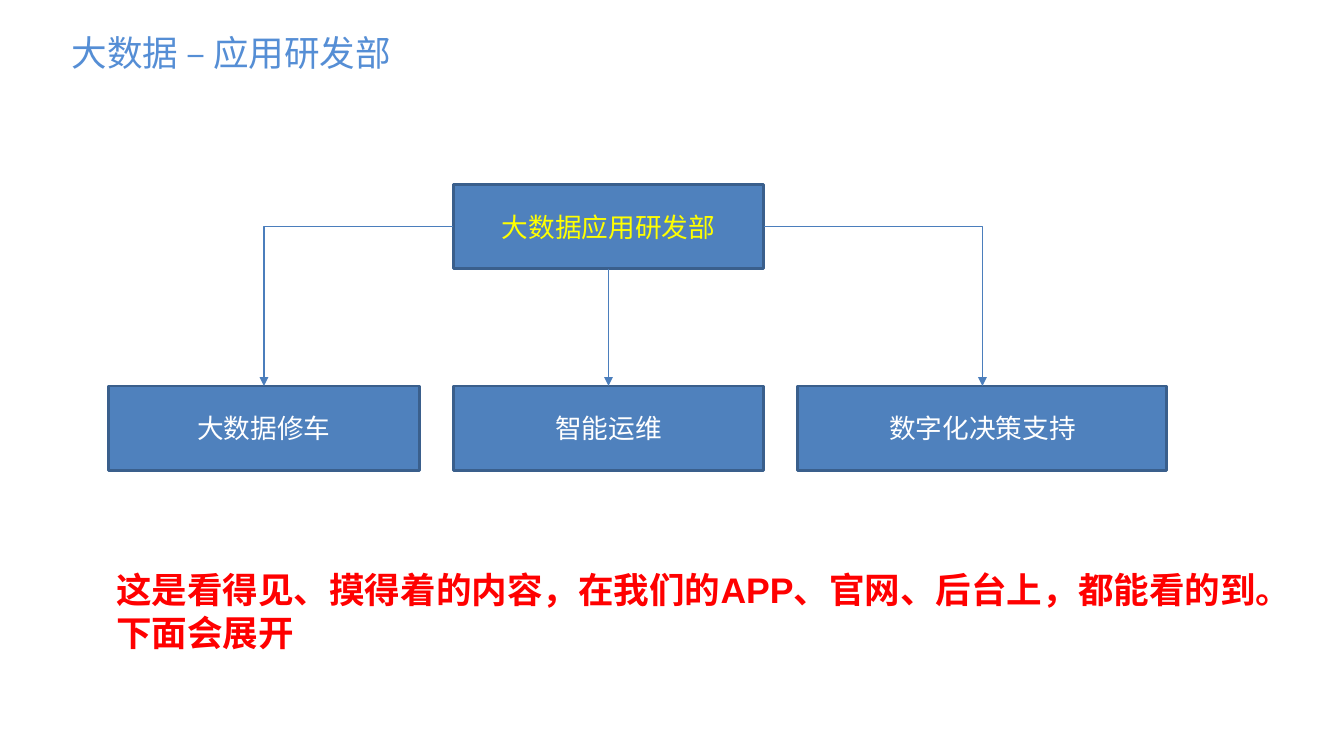
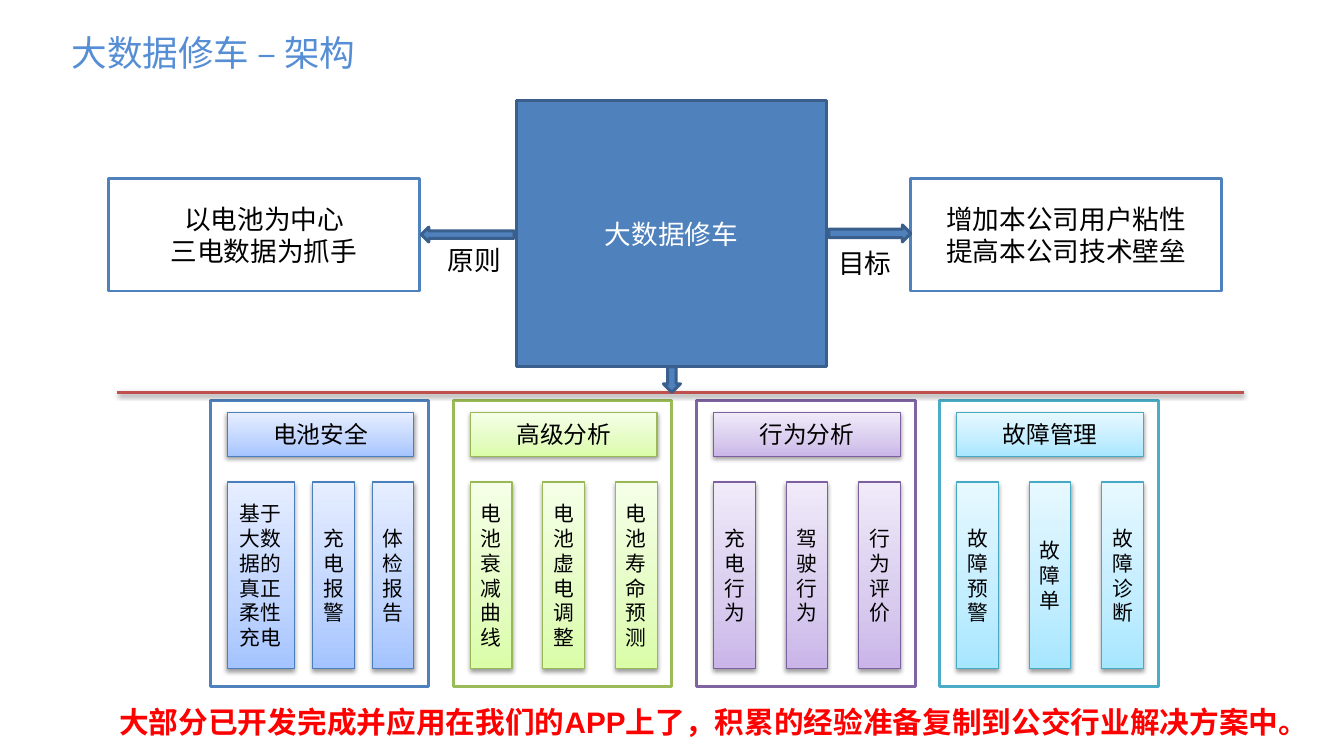
from dataclasses import dataclass

import lxml.etree
import pptx
import pptx.dml.color
import pptx.enum.shapes
import pptx.enum.text
import pptx.oxml.ns
import pptx.util

Inches = pptx.util.Inches
Pt = pptx.util.Pt
qn = pptx.oxml.ns.qn
PRESET = pptx.enum.shapes.MSO_SHAPE
CONNECTOR = pptx.enum.shapes.MSO_CONNECTOR
ALIGN = pptx.enum.text.PP_ALIGN
ANCHOR = pptx.enum.text.MSO_ANCHOR
AUTO_SIZE = pptx.enum.text.MSO_AUTO_SIZE

TITLE_BLUE = "558ED5"
BLUE = "4F81BD"
DARK_BLUE = "3A5F8C"
LINE_BLUE = "4B7EBC"
DIVIDER_RED = "C0504D"
RED = "FF0000"
YELLOW = "FFFF00"
WHITE = "FFFFFF"
BLACK = "000000"

TITLE_FONT = "Noto Sans CJK SC"
BOX_FONT = "Calibri"
NOTE_FONT = "Arial"


@dataclass(frozen=True)
class Area:
    left: float
    top: float
    width: float
    height: float

    def emu(self) -> tuple:
        return tuple(Inches(n) for n in (self.left, self.top, self.width, self.height))


@dataclass(frozen=True)
class Style:
    """Box look; three colours in fill make a gradient from bottom to top."""
    fill: tuple
    line: str
    weight: float = 2
    shadow: bool = False


@dataclass(frozen=True)
class Module:
    name: str
    features: tuple
    widths: tuple
    frame: str
    edge: str
    gradient: tuple


SOLID = Style((BLUE,), DARK_BLUE)
OUTLINED = Style((WHITE,), BLUE)

NARROW = 0.39
MODULES = (
    Module("电池安全", ("基于大数据的\n真正柔性充电", "充电报警", "体检报告"),
           (0.63, NARROW, NARROW), BLUE, LINE_BLUE, ("A4C4FF", "BFD4FF", "E6EEFF")),
    Module("高级分析", ("电池衰减曲线", "电池虚电调整", "电池寿命预测"),
           (NARROW,) * 3, "9BBB59", "98B955", ("DAFDA7", "E4FCC2", "F5FFE7")),
    Module("行为分析", ("充电行为", "驾驶行为", "行为评价"),
           (NARROW,) * 3, "8064A2", "7D60A0", ("C9B5E8", "D8CBEE", "F0EAF9")),
    Module("故障管理", ("故障预警", "故障单", "故障诊断"),
           (NARROW,) * 3, "4BACC6", "46AAC5", ("A7E6FF", "C1EDFF", "E7F8FF")),
)


def rgb(color: str):
    return pptx.dml.color.RGBColor.from_string(color)


def sub(parent, tag: str, **attributes: str):
    child = lxml.etree.SubElement(parent, qn(tag))
    for key, setting in attributes.items():
        child.set(key, setting)
    return child


def write(frame, text: str, size: float, font: str, color: str,
          align=ALIGN.LEFT, bold: bool = False) -> None:
    frame.text = text
    for paragraph in frame.paragraphs:
        paragraph.alignment = align
        paragraph.font.size = Pt(size)
        paragraph.font.name = font
        paragraph.font.bold = bold
        paragraph.font.color.rgb = rgb(color)


def add_soft_shadow(effects) -> None:
    shadow = sub(effects, "a:outerShdw", blurRad="40000", dist="20000",
                 dir="5400000", rotWithShape="0")
    sub(sub(shadow, "a:srgbClr", val=BLACK), "a:alpha", val="38000")


def paint_gradient(shape, colors: tuple) -> None:
    solid = shape._element.spPr.find(qn("a:solidFill"))
    gradient = lxml.etree.Element(qn("a:gradFill"))
    stops = sub(gradient, "a:gsLst")
    for position, color in zip(("0", "35000", "100000"), colors):
        sub(sub(stops, "a:gs", pos=position), "a:srgbClr", val=color)
    sub(gradient, "a:lin", ang="16200000", scaled="0")
    solid.getparent().replace(solid, gradient)


def add_box(slide, area: Area, style: Style, text: str = "", size: float = 18,
            color: str = WHITE, preset=PRESET.RECTANGLE):
    box = slide.shapes.add_shape(preset, *area.emu())
    box.shadow.inherit = False
    box.fill.solid()
    box.fill.fore_color.rgb = rgb(style.fill[0])
    if len(style.fill) > 1:
        paint_gradient(box, style.fill)
    box.line.color.rgb = rgb(style.line)
    box.line.width = Pt(style.weight)
    if style.shadow:
        add_soft_shadow(box._element.spPr.find(qn("a:effectLst")))
    if text:
        box.text_frame.word_wrap = True
        box.text_frame.vertical_anchor = ANCHOR.MIDDLE
        write(box.text_frame, text, size, BOX_FONT, color, ALIGN.CENTER)
    return box


def add_label(slide, area: Area, text: str, size: float, color: str,
              bold: bool = False, wrap: bool = False) -> None:
    frame = slide.shapes.add_textbox(*area.emu()).text_frame
    frame.word_wrap = wrap
    frame.auto_size = AUTO_SIZE.SHAPE_TO_FIT_TEXT
    write(frame, text, size, NOTE_FONT, color, bold=bold)


def add_line(slide, kind, start: tuple, end: tuple, color: str, weight: float):
    """Draw a connector; return it with its empty effect list."""
    points = [Inches(n) for n in (*start, *end)]
    line = slide.shapes.add_connector(kind, *points)
    line.line.color.rgb = rgb(color)
    line.line.width = Pt(weight)
    return line, sub(line._element.spPr, "a:effectLst")


def link_boxes(slide, parent, side: int, child) -> None:
    """Run an arrow from a side of parent to the top of child."""
    straight = side == 2
    kind = CONNECTOR.STRAIGHT if straight else CONNECTOR.ELBOW
    link, _ = add_line(slide, kind, (0, 0), (1, 1), LINE_BLUE, 0.75)
    link.begin_connect(parent, side)
    link.end_connect(child, 0)
    if not straight:
        link._element.spPr.find(qn("a:prstGeom")).set("prst", "bentConnector2")
    sub(link.line._get_or_add_ln(), "a:tailEnd", type="triangle")


def add_titled_slide(deck, title: str, width: float):
    slide = deck.slides.add_slide(deck.slide_layouts[5])
    heading = slide.shapes.title
    heading.left, heading.top, heading.width, heading.height = Area(0.57, 0.24, width, 0.5).emu()
    frame = heading.text_frame
    frame.word_wrap = False
    frame.auto_size = AUTO_SIZE.SHAPE_TO_FIT_TEXT
    frame.vertical_anchor = ANCHOR.TOP
    write(frame, title, 24, TITLE_FONT, TITLE_BLUE)
    return slide


def build_department(deck) -> None:
    slide = add_titled_slide(deck, "大数据 – 应用研发部", 3.57)
    department = add_box(slide, Area(4.25, 1.73, 2.91, 0.79), SOLID,
                         "大数据应用研发部", color=YELLOW)
    teams = (("大数据修车", 1.02, 2.91, 1), ("智能运维", 4.25, 2.91, 2),
             ("数字化决策支持", 7.48, 3.46, 3))
    for name, left, width, side in teams:
        team = add_box(slide, Area(left, 3.62, width, 0.79), SOLID, name)
        link_boxes(slide, department, side, team)
    add_label(slide, Area(0.99, 5.28, 11.34, 0.91),
              "这是看得见、摸得着的内容，在我们的APP、官网、后台上，都能看的到。下面会展开",
              24, RED, bold=True, wrap=True)


def add_module(slide, module: Module, left: float) -> None:
    """Draw a framed module: its header, and features spread evenly below."""
    add_box(slide, Area(left, 3.76, 2.05, 2.68), Style((WHITE,), module.frame))
    tile = Style(module.gradient, module.edge, 0.75, shadow=True)
    inner_left, inner_width = left + 0.16, 1.75
    add_box(slide, Area(inner_left, 3.87, inner_width, 0.41), tile, module.name, 16, BLACK)
    gap = (inner_width - sum(module.widths)) / (len(module.widths) - 1)
    for feature, width in zip(module.features, module.widths):
        add_box(slide, Area(inner_left, 4.52, width, 1.75), tile, feature, 14, BLACK)
        inner_left += width + gap


def build_architecture(deck) -> None:
    slide = add_titled_slide(deck, "大数据修车 – 架构", 3.23)
    for index, module in enumerate(MODULES):
        add_module(slide, module, 1.97 + 2.28 * index)

    add_box(slide, Area(4.84, 0.94, 2.91, 2.5), SOLID, "大数据修车")
    for text, left in (("以电池为中心\n三电数据为抓手", 1.02),
                       ("增加本公司用户粘性\n提高本公司技术壁垒", 8.54)):
        add_box(slide, Area(left, 1.67, 2.91, 1.06), OUTLINED, text, color=BLACK)

    _, divider_effects = add_line(slide, CONNECTOR.STRAIGHT, (1.1, 3.68), (11.66, 3.68),
                                  DIVIDER_RED, 2)
    add_soft_shadow(divider_effects)
    for preset, area in ((PRESET.LEFT_ARROW, Area(3.95, 2.13, 0.87, 0.14)),
                         (PRESET.RIGHT_ARROW, Area(7.77, 2.11, 0.77, 0.16)),
                         (PRESET.DOWN_ARROW, Area(6.22, 3.44, 0.16, 0.24))):
        add_box(slide, area, SOLID, preset=preset)

    add_label(slide, Area(4.1, 2.24, 0.71, 0.4), "原则", 18, BLACK)
    add_label(slide, Area(7.76, 2.27, 0.71, 0.4), "目标", 18, BLACK)
    add_label(slide, Area(1.02, 6.55, 11.51, 0.44),
              "大部分已开发完成并应用在我们的APP上了，积累的经验准备复制到公交行业解决方案中。",
              20, RED, bold=True)


def main() -> None:
    deck = pptx.Presentation()
    deck.slide_width, deck.slide_height = Inches(12.6), Inches(7.09)
    build_department(deck)
    build_architecture(deck)
    deck.save("out.pptx")


if __name__ == "__main__":
    main()
